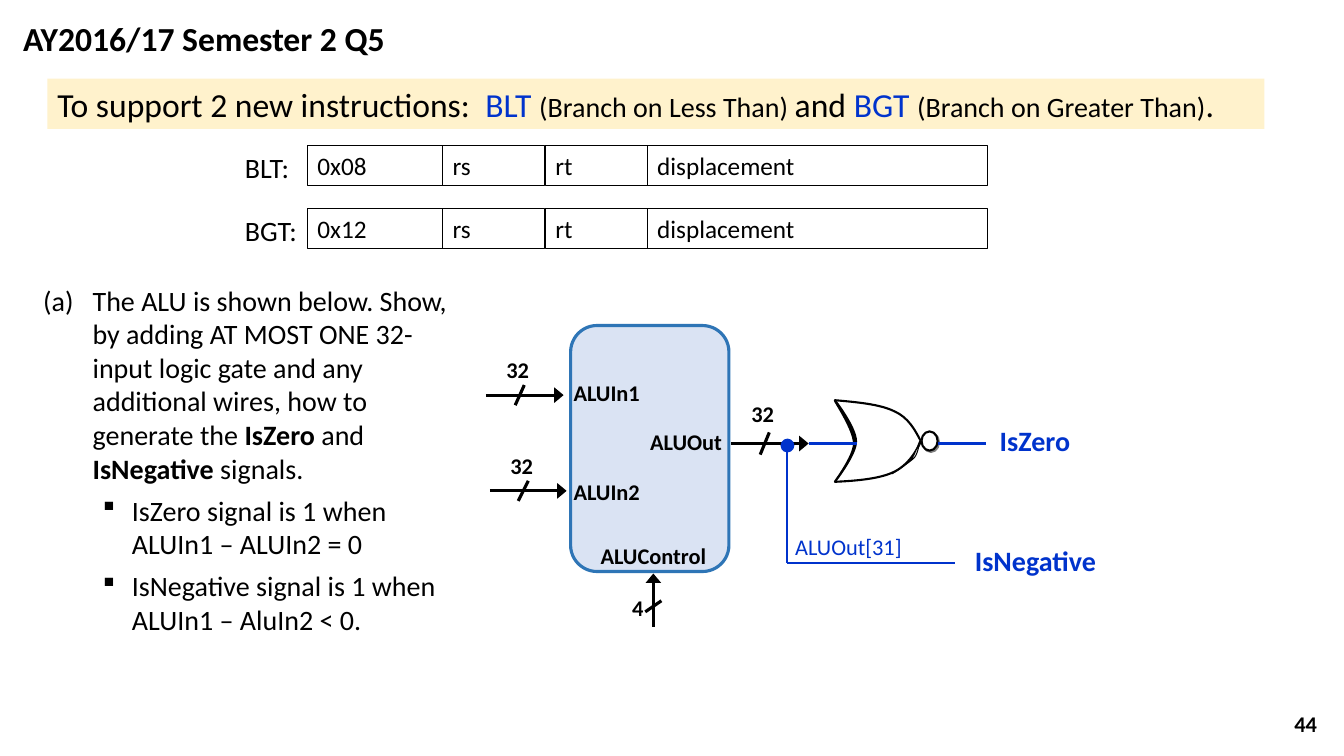
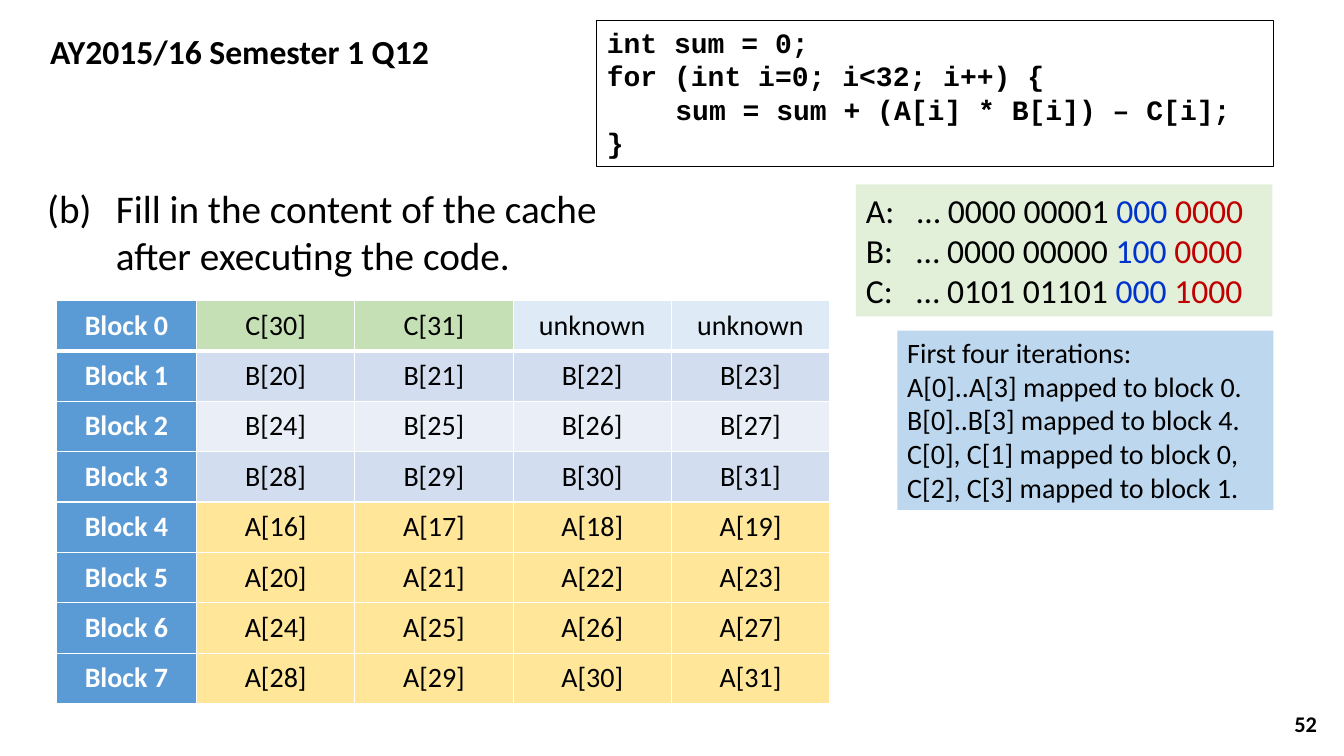
from lxml import etree
from pptx import Presentation, util as u
from pptx.dml import color
from pptx.enum import shapes, text
from pptx.oxml import ns

Inches, Pt, qn = u.Inches, u.Pt, ns.qn
rgb = color.RGBColor.from_string
Shape, Align, Anchor = shapes.MSO_SHAPE, text.PP_ALIGN, text.MSO_ANCHOR

BODY_FONT, CODE_FONT = "Calibri", "Courier New"
BLACK, WHITE, BLUE, RED = "000000", "FFFFFF", "0033CC", "C00000"
CREAM, PALE_GREEN, SKY = "FFF2CC", "E2F0D9", "BDD7EE"


def add_text(page, at, paras, size, ink=BLACK, bold=False, align=Align.LEFT,
             anchor=Anchor.TOP, font=BODY_FONT, fill=None, line=None,
             layout=((0, 0, None),), tabs=(), after=0):
    """Each paragraph is a list of spans: (words, colour, size, bold), all but words optional.

    layout holds (left indent, hanging indent, bullet) per paragraph; the last one repeats.
    """
    place = [Inches(length) for length in at]
    if fill or line:
        box = page.shapes.add_shape(Shape.RECTANGLE, *place)
        box.shadow.inherit = False
        if fill:
            box.fill.solid()
            box.fill.fore_color.rgb = rgb(fill)
        else:
            box.fill.background()
        if line:
            box.line.color.rgb = rgb(line)
            box.line.width = Pt(0.75)
        else:
            box.line.fill.background()
    else:
        box = page.shapes.add_textbox(*place)
    frame = box.text_frame
    frame.word_wrap = True
    frame.vertical_anchor = anchor
    for number, spans in enumerate(paras):
        para = frame.paragraphs[0] if number == 0 else frame.add_paragraph()
        para.alignment = align
        left, hanging, bullet = layout[min(number, len(layout) - 1)]
        props = para._p.get_or_add_pPr()
        props.set("marL", str(Inches(left)))
        props.set("indent", str(-Inches(hanging)))
        if bullet == "(a)":
            etree.SubElement(props, qn("a:buAutoNum"), type="alphaLcParenBoth")
        elif bullet:
            etree.SubElement(props, qn("a:buFont"), typeface="Wingdings", charset="2")
            etree.SubElement(props, qn("a:buChar"), char=bullet)
        if tabs:
            stops = etree.SubElement(props, qn("a:tabLst"))
            for stop in tabs:
                etree.SubElement(stops, qn("a:tab"), pos=str(Inches(stop)), algn="l")
        para.space_after = Pt(after)
        para.font.name, para.font.size, para.font.bold = font, Pt(size), bold
        para.font.color.rgb = rgb(ink)
        for words, *changes in spans:
            span = para.add_run()
            span.text = words
            span_ink, span_size, span_bold = (changes + [None] * 3)[:3]
            if span_ink:
                span.font.color.rgb = rgb(span_ink)
            if span_size:
                span.font.size = Pt(span_size)
            if span_bold:
                span.font.bold = True
    return box


def add_line(page, start, end, ink=BLACK, width=2.25, head=None, tail=None):
    wire = page.shapes.add_connector(
        shapes.MSO_CONNECTOR.STRAIGHT, *[Inches(length) for length in (*start, *end)])
    wire.line.color.rgb = rgb(ink)
    wire.line.width = Pt(width)
    for tag, kind in (("a:headEnd", head), ("a:tailEnd", tail)):
        if kind:
            etree.SubElement(wire.line._get_or_add_ln(), qn(tag), type=kind, w="lg",
                             len="lg" if kind == "oval" else "med")
    etree.SubElement(wire._element.spPr, qn("a:effectLst"))


deck = Presentation()
deck.slide_width, deck.slide_height = Inches(13.33), Inches(7.5)

# Pages with title and page number
pages = []
for title, at, number in (
        ("AY2016/17 Semester 2 Q5", (0.13, 0.13, 4.08, 0.5), "44"),
        ("AY2015/16 Semester 1 Q12", (0.4, 0.26, 4.47, 0.5), "52")):
    page = deck.slides.add_slide(deck.slide_layouts[6])
    add_text(page, (10.16, 6.98, 3, 0.4), [[(number,)]], 16, bold=True,
             align=Align.RIGHT, anchor=Anchor.MIDDLE)
    add_text(page, at, [[(title,)]], 24, bold=True)
    pages.append(page)
alu_page, cache_page = pages

# Instruction banner
add_text(alu_page, (0.47, 0.78, 12.07, 0.5), [[
    ("To support 2 new instructions:  ",), ("BLT ", BLUE),
    ("(Branch on Less Than) ", BLACK, 20), ("and ",), ("BGT ", BLUE),
    ("(Branch on Greater Than)", BLACK, 20), (".",)]], 24, fill=CREAM)

# Instruction formats
for top, name, opcode in ((1.44, "BLT:", "0x08"), (2.07, "BGT:", "0x12")):
    add_text(alu_page, (2.33, top, 0.86, 0.44), [[(name,)]], 20)
    for field, left, width in ((opcode, 3.05, 1.34), ("rs", 4.39, 1.01),
                               ("rt", 5.41, 1.01), ("displacement", 6.42, 3.37)):
        add_text(alu_page, (left, top, width, 0.4), [[(field,)]], 18, line=BLACK)

# Question (a)
add_text(alu_page, (0.33, 2.76, 4.38, 3.64), [
    [("The ALU is shown below. Show, by adding AT MOST ONE 32-input logic gate and any "
      "additional wires, how to generate the ",), ("IsZero", None, None, True), (" and ",),
     ("IsNegative", None, None, True), (" signals.",)],
    [("IsZero signal is 1 when ALUIn1 – ALUIn2 = 0",)],
    [("IsNegative signal is 1 when ALUIn1 – AluIn2 < 0.",)],
], 20, layout=((0.49, 0.49, "(a)"), (0.88, 0.29, "§")), after=6)

# ALU block
alu = alu_page.shapes.add_shape(
    Shape.ROUNDED_RECTANGLE, Inches(5.66), Inches(3.23), Inches(1.57), Inches(2.44))
alu.shadow.inherit = False
alu.fill.solid()
alu.fill.fore_color.rgb = rgb("DAE3F3")
alu.line.color.rgb = rgb("2E75B6")
alu.line.width = Pt(2.25)
for label, left, top, width, align in (
        ("ALUIn1", 5.59, 3.71, 1.03, Align.LEFT), ("ALUIn2", 5.59, 4.69, 1.03, Align.LEFT),
        ("ALUOut", 6.35, 4.2, 1.03, Align.LEFT), ("ALUControl", 5.74, 5.33, 1.48, Align.CENTER),
        ("32", 4.84, 3.48, 0.59, Align.CENTER), ("32", 4.88, 4.44, 0.59, Align.CENTER),
        ("32", 7.27, 3.92, 0.59, Align.CENTER), ("4", 6.03, 5.85, 0.59, Align.CENTER)):
    add_text(alu_page, (left, top, width, 0.37), [[(label,)]], 16, bold=True, align=align)

# Buses, each with its width slash
for start, end, slash_start, slash_end in (
        ((4.82, 3.92), (5.59, 3.92), (5.2, 3.82), (5.11, 4.02)),
        ((4.86, 4.87), (5.62, 4.87), (5.24, 4.77), (5.14, 4.97)),
        ((7.25, 4.4), (8.02, 4.4), (7.63, 4.29), (7.54, 4.51)),
        ((6.48, 6.22), (6.48, 5.69), (6.4, 6.07), (6.56, 5.96))):
    add_line(alu_page, start, end, tail="triangle")
    add_line(alu_page, slash_start, slash_end)

# NOR gate: inverter bubble, then Bezier outlines (start, then three points per curve)
bubble = alu_page.shapes.add_shape(
    Shape.OVAL, Inches(9.14), Inches(4.28), Inches(0.16), Inches(0.19))
bubble.shadow.inherit = False
shadow = etree.SubElement(bubble._element.spPr.find(qn("a:effectLst")), qn("a:outerShdw"),
                          dist=str(Pt(1.4)), dir="2700000", algn="ctr", rotWithShape="0")
etree.SubElement(shadow, qn("a:srgbClr"), val="808080")
gate_parts = [(bubble, 1.5)]
for width, closed, points in (
        (1.5, False, [(8.28, 3.97), (8.5, 3.99), (8.73, 4.01), (8.87, 4.08),
                      (9.01, 4.14), (9.08, 4.27), (9.14, 4.39)]),
        (1.5, False, [(8.28, 4.78), (8.5, 4.77), (8.73, 4.75), (8.87, 4.68),
                      (9.01, 4.61), (9.08, 4.49), (9.14, 4.37)]),
        (1.5, True, [(8.28, 3.97), (8.27, 3.97), (8.47, 4.26), (8.47, 4.4),
                     (8.47, 4.53), (8.27, 4.79), (8.28, 4.78),
                     (8.28, 4.78), (8.49, 4.51), (8.49, 4.38),
                     (8.49, 4.24), (8.28, 3.97), (8.28, 3.97)]),
        (0.75, True, [(8.85, 4.7), (8.85, 4.7), (9.02, 4.59), (9.07, 4.54),
                      (9.11, 4.49), (9.12, 4.38), (9.12, 4.38),
                      (9.12, 4.38), (9.08, 4.49), (9.05, 4.54),
                      (9.02, 4.59), (8.85, 4.7), (8.85, 4.7)])):
    (x, y), *controls = [(Inches(across), Inches(down)) for across, down in points]
    builder = alu_page.shapes.build_freeform(x, y)
    builder.add_line_segments(controls, close=closed)
    edge = builder.convert_to_shape()
    edge.shadow.inherit = False
    # Turn every three straight segments into one curve
    segments = list(edge._element.iter(qn("a:lnTo")))
    for first in range(0, len(segments), 3):
        curve = etree.Element(qn("a:cubicBezTo"))
        segments[first].addprevious(curve)
        for segment in segments[first:first + 3]:
            curve.append(segment[0])
            segment.getparent().remove(segment)
    gate_parts.append((edge, width))
for part, width in gate_parts:
    part.fill.solid()
    part.fill.fore_color.rgb = rgb(WHITE)
    part.line.color.rgb = rgb(BLACK)
    part.line.width = Pt(width)

# Answer wires and signal names
for start, end, head in (
        ((8.02, 4.4), (8.5, 4.4), None), ((9.3, 4.4), (9.78, 4.4), None),
        ((7.81, 5.59), (9.47, 5.59), None), ((7.81, 4.42), (7.81, 5.59), "oval")):
    add_line(alu_page, start, end, BLUE, 1.5, head=head)
for signal, at, size, bold in (
        ("IsZero", (9.75, 4.15, 1.03, 0.44), 20, True),
        ("IsNegative", (9.46, 5.34, 1.62, 0.44), 20, True),
        ("ALUOut[31]", (7.68, 5.24, 1.47, 0.37), 16, False)):
    add_text(alu_page, at, [[(signal,)]], size, BLUE, bold, Align.CENTER)

# Code listing
code = ["int sum = 0;", "for (int i=0; i<32; i++) {",
        "\tsum = sum + (A[i] * B[i]) – C[i];", "}"]
add_text(cache_page, (5.92, 0.2, 6.71, 1.45), [[(row,)] for row in code], 20, bold=True,
         font=CODE_FONT, line=BLACK, layout=((0.68, 0.68, None),), tabs=(0.68,))

# Array addresses: tag, index, offset
addresses = (("A:   … 0000 00001 ", "000 ", "0000"),
             ("B:\t… 0000 00000 ", "100 ", "0000"),
             ("C:\t… 0101 01101 ", "000 ", "1000"))
add_text(cache_page, (8.49, 1.83, 4.13, 1.31),
         [[(tag,), (index, BLUE), (offset, RED)] for tag, index, offset in addresses],
         24, fill=PALE_GREEN, tabs=(0.49, 2.36))

# Cache content
rows = [(["C[30]", "C[31]", "unknown", "unknown"], ["C5E0B4"] * 2 + ["DEEBF7"] * 2)]
for block in range(1, 8):
    array, first = ("B", 16) if block < 4 else ("A", 0)
    tint = "FFE699" if block > 3 else "D2DEEF" if block % 2 else "EAEFF7"
    rows.append(([f"{array}[{first + 4 * block + word}]" for word in range(4)], [tint] * 4))
cache = cache_page.shapes.add_table(
    8, 5, Inches(0.56), Inches(2.98), Inches(7.67), Inches(4)).table
for column, width in zip(cache.columns, [1.39] + [1.57] * 4):
    column.width = Inches(width)
for block, (words, tints) in enumerate(rows):
    cache.rows[block].height = Inches(0.5)
    for col, (word, tint) in enumerate(zip([f"Block {block}"] + words, ["5B9BD5"] + tints)):
        cell = cache.cell(block, col)
        cell.vertical_anchor = Anchor.MIDDLE
        cell.margin_left = cell.margin_right = Inches(0.07)
        cell.margin_top = cell.margin_bottom = 0
        for side in "LRTB":
            thick = (block, side) in ((0, "B"), (1, "T"))
            border = etree.SubElement(cell._tc.get_or_add_tcPr(), qn(f"a:ln{side}"),
                                      w=str(Pt(3 if thick else 1)))
            paint = etree.SubElement(border, qn("a:solidFill"))
            etree.SubElement(paint, qn("a:srgbClr"), val=WHITE)
        cell.fill.solid()
        cell.fill.fore_color.rgb = rgb(tint)
        para = cell.text_frame.paragraphs[0]
        para.text = word
        para.alignment = Align.CENTER
        para.font.name, para.font.size, para.font.bold = BODY_FONT, Pt(20), col == 0
        para.font.color.rgb = rgb(BLACK if col else WHITE)

# Question (b)
add_text(cache_page, (0.37, 1.78, 6.29, 1.04),
         [[("(b) \tFill in the content of the cache after executing the code.",)]],
         28, layout=((0.68, 0.68, None),), tabs=(0.68,), after=6)

# Mapping notes
notes = ["First four iterations:", "A[0]..A[3] mapped to block 0.",
         "B[0]..B[3] mapped to block 4.", "C[0], C[1] mapped to block 0,",
         "C[2], C[3] mapped to block 1."]
add_text(cache_page, (8.9, 3.28, 3.73, 1.78), [[(note,)] for note in notes], 20, fill=SKY)

deck.save("out.pptx")
